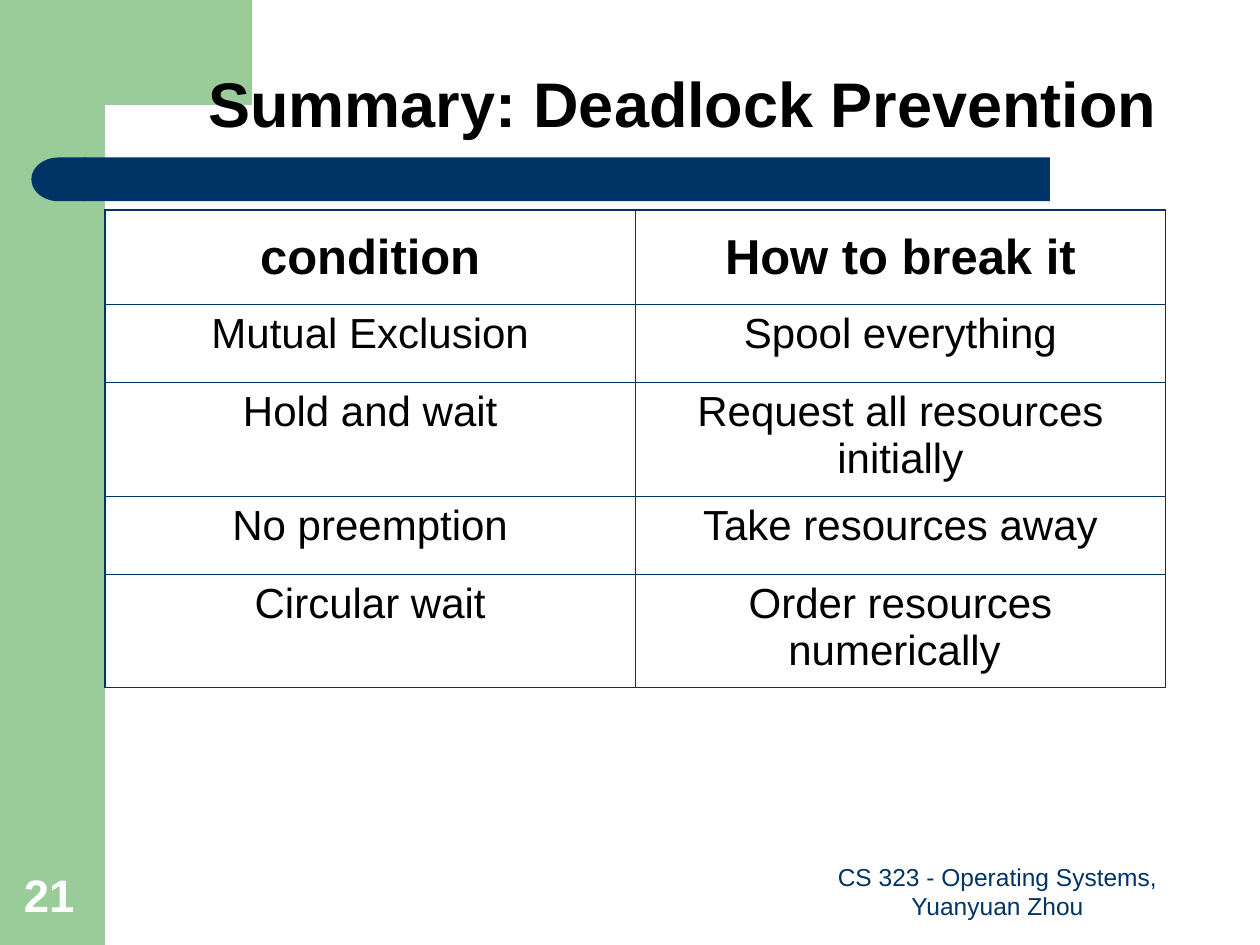
from lxml.etree import SubElement
from pptx import Presentation
from pptx.dml.color import RGBColor
from pptx.enum.shapes import MSO_SHAPE
from pptx.enum.text import MSO_ANCHOR, MSO_AUTO_SIZE, PP_ALIGN
from pptx.oxml.ns import qn
from pptx.util import Pt

GREEN = RGBColor(0x99, 0xCC, 0x99)
NAVY = RGBColor(0x00, 0x33, 0x66)
BLACK = RGBColor(0, 0, 0)
WHITE = RGBColor(0xFF, 0xFF, 0xFF)

FONT = "Arial"
THIN, THICK = 0.45, 1.08
CORNER = [(144, 0), (144, 60), (60, 60.5), (58, 60), (55, 61), (51, 66),
          (49, 75), (48, 84), (48, 92), (36, 92), (36, 0)]
CONDITIONS = [
    ("condition", "How to break it"),
    ("Mutual Exclusion", "Spool everything"),
    ("Hold and wait", "Request all resources initially"),
    ("No preemption", "Take resources away"),
    ("Circular wait", "Order resources numerically "),
]
ROW_HEIGHTS = [54, 44.5, 65, 44.5, 65]


def paint(shape, color):
    shape.shadow.inherit = False
    shape.fill.solid()
    shape.fill.fore_color.rgb = color
    shape.line.fill.background()


def add_block(slide, preset, left, top, width, height, color):
    block = slide.shapes.add_shape(preset, Pt(left), Pt(top), Pt(width), Pt(height))
    paint(block, color)
    return block


def add_corner(slide):
    builder = slide.shapes.build_freeform(*CORNER[0], scale=Pt(1))
    builder.add_line_segments(CORNER[1:], close=True)
    paint(builder.convert_to_shape(), GREEN)


def write(frame, text, size, color, bold=False, align=PP_ALIGN.CENTER):
    paragraph = frame.paragraphs[0]
    paragraph.alignment = align
    run = paragraph.add_run()
    run.text = text
    run.font.name = FONT
    run.font.size = Pt(size)
    run.font.bold = bold
    run.font.color.rgb = color
    return paragraph


def add_label(slide, text, left, top, width, height, size, color, **style):
    label = slide.shapes.add_textbox(Pt(left), Pt(top), Pt(width), Pt(height))
    label.text_frame.word_wrap = True
    label.text_frame.vertical_anchor = MSO_ANCHOR.BOTTOM
    write(label.text_frame, text, size, color, **style)


def set_title(slide, text):
    title = slide.shapes.title
    title.left, title.top, title.width, title.height = Pt(83.5), Pt(6), Pt(613), Pt(78.5)
    title.text_frame.auto_size = MSO_AUTO_SIZE.NONE
    title.text_frame.vertical_anchor = MSO_ANCHOR.BOTTOM
    write(title.text_frame, text, 36, BLACK, bold=True).line_spacing = 0.9
    title.element.getparent().append(title.element)


def set_borders(cell, widths):
    properties = cell._tc.get_or_add_tcPr()
    for side, width in widths.items():
        border = SubElement(properties, qn(f"a:ln{side}"), w=str(Pt(width)))
        fill = SubElement(border, qn("a:solidFill"))
        SubElement(fill, qn("a:srgbClr"), val=str(NAVY))


def add_conditions(slide):
    row_count, column_count = len(CONDITIONS), len(CONDITIONS[0])
    table = slide.shapes.add_table(row_count, column_count, Pt(60), Pt(120),
                                   Pt(606), Pt(sum(ROW_HEIGHTS))).table
    table.first_row = False
    table.horz_banding = False
    for r, texts in enumerate(CONDITIONS):
        table.rows[r].height = Pt(ROW_HEIGHTS[r])
        header = r == 0
        for c, text in enumerate(texts):
            cell = table.cell(r, c)
            outer = {"L": c == 0, "R": c == column_count - 1,
                     "T": header, "B": r == row_count - 1}
            set_borders(cell, {side: THICK if edge else THIN for side, edge in outer.items()})
            cell.fill.background()
            cell.vertical_anchor = MSO_ANCHOR.MIDDLE if header else MSO_ANCHOR.TOP
            paragraph = write(cell.text_frame, text, 28 if header else 24, BLACK, bold=header)
            paragraph.space_before = Pt(7 if header else 6)


def main():
    deck = Presentation()
    deck.slide_width, deck.slide_height = Pt(720), Pt(540)
    slide = deck.slides.add_slide(deck.slide_layouts[5])

    add_block(slide, MSO_SHAPE.RECTANGLE, 0, 0, 60, 540, GREEN)
    add_corner(slide)
    bar = add_block(slide, MSO_SHAPE.ROUNDED_RECTANGLE, 48, 90, 552, 25, NAVY)
    bar.adjustments[0] = 0
    bar_end = add_block(slide, MSO_SHAPE.FLOWCHART_DELAY, 18, 90, 31, 25, NAVY)
    bar_end.element.spPr.get_or_add_xfrm().set("flipH", "1")

    set_title(slide, "Summary: Deadlock Prevention")
    add_conditions(slide)
    add_label(slide, "CS 323 - Operating Systems, Yuanyuan Zhou",
              456, 492, 228, 37.5, 14, NAVY)
    add_label(slide, "21", 6.5, 492, 46, 38, 26, WHITE, bold=True, align=PP_ALIGN.LEFT)
    deck.save("out.pptx")


if __name__ == "__main__":
    main()
